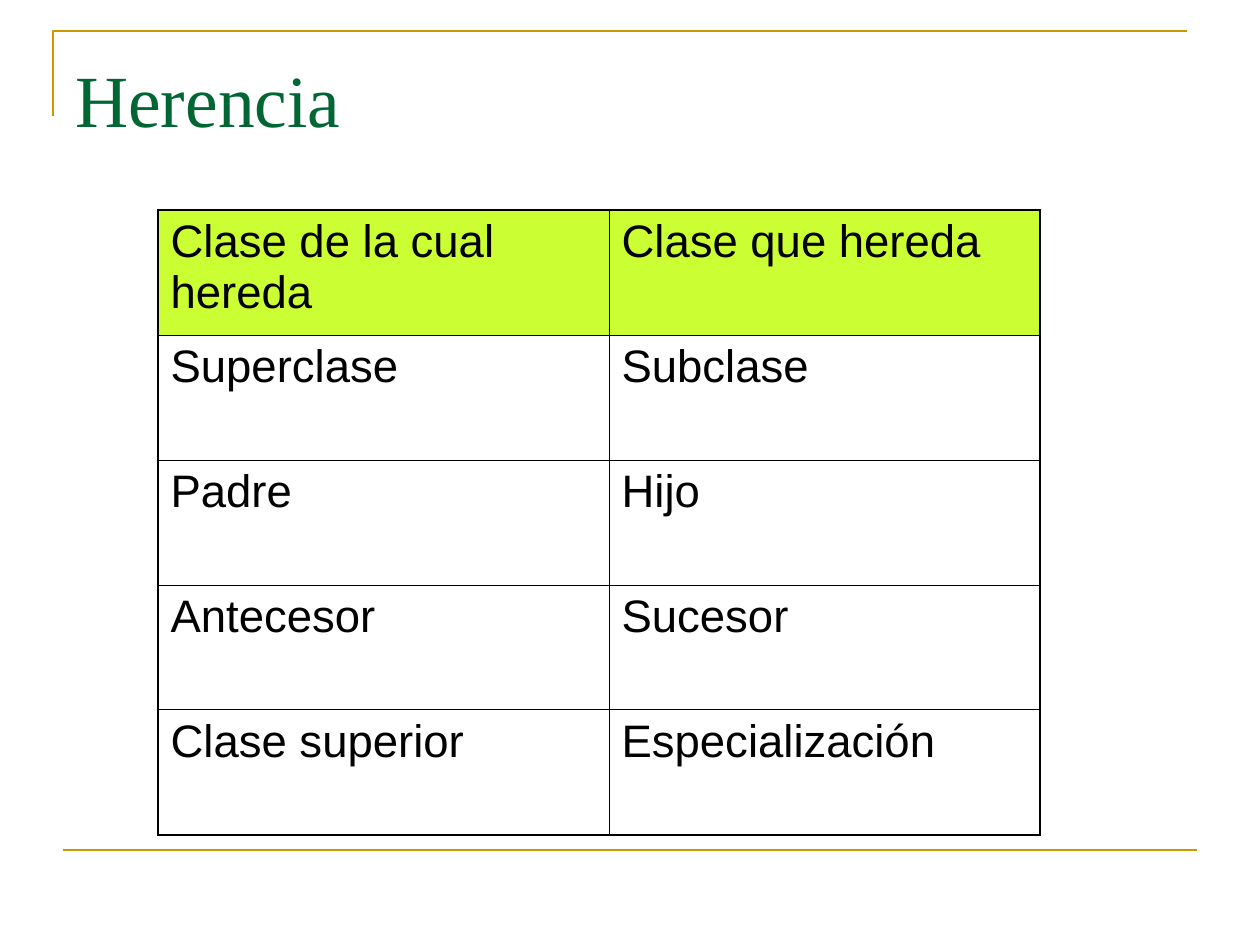
from lxml import etree
from pptx import Presentation, util as u
from pptx.dml.color import RGBColor
from pptx.enum import shapes, text
from pptx.oxml import ns

PX = 914400 // 126
COLORS = {"gold": "CC9900", "green": "006633", "lime": "CCFF33",
          "ink": "000000", "white": "FFFFFF"}
ROWS = [("Clase de la cual hereda", "Clase que hereda"),
        ("Superclase", "Subclase"),
        ("Padre", "Hijo"),
        ("Antecesor", "Sucesor"),
        ("Clase superior", "Especialización")]
COLS = (451, 431)
ROW_H = 125
THICK, THIN = 1.08, 0.45


def px(n):
    return u.Emu(n * PX)


def color(name):
    return RGBColor.from_string(COLORS[name])


def add_run(para, words, size, font, tint):
    run = para.add_run()
    run.text = words
    run.font.size = u.Pt(size)
    run.font.name = font
    run.font.color.rgb = color(tint)


def style_line(line):
    line.color.rgb = color("gold")
    line.width = u.Pt(1.5)


def add_corner(slide, points):
    start, *rest = [(px(x), px(y)) for x, y in points]
    pen = slide.shapes.build_freeform(*start)
    pen.add_line_segments(rest, close=False)
    corner = pen.convert_to_shape()
    corner.shadow.inherit = False
    corner.fill.background()
    style_line(corner.line)


def add_rule(slide, left, right, y):
    rule = slide.shapes.add_connector(
        shapes.MSO_CONNECTOR.STRAIGHT, px(left), px(y), px(right), px(y))
    style_line(rule.line)
    etree.SubElement(rule.element.spPr, ns.qn("a:effectLst"))


def add_title(slide, words):
    box = slide.shapes.add_textbox(px(63), px(38), px(1134), px(157))
    frame = box.text_frame
    frame.word_wrap = True
    frame.vertical_anchor = text.MSO_ANCHOR.TOP
    frame.margin_top = px(16)
    add_run(frame.paragraphs[0], words, 42, "Times New Roman", "green")


def set_border(cell, widths):
    """Draw the cell's edges; widths are points for left, right, top, bottom."""
    props = cell._tc.get_or_add_tcPr()
    for i, (side, width) in enumerate(zip("LRTB", widths)):
        edge = etree.Element(ns.qn(f"a:ln{side}"), w=str(u.Pt(width)))
        fill = etree.SubElement(edge, ns.qn("a:solidFill"))
        etree.SubElement(fill, ns.qn("a:srgbClr"), val=COLORS["ink"])
        props.insert(i, edge)


def add_grid(slide, left, top):
    table = slide.shapes.add_table(
        len(ROWS), len(COLS), px(left), px(top),
        px(sum(COLS)), px(ROW_H * len(ROWS))).table
    for col, width in zip(table.columns, COLS):
        col.width = px(width)
    for r, row in enumerate(ROWS):
        table.rows[r].height = px(ROW_H)
        for c, words in enumerate(row):
            cell = table.cell(r, c)
            cell.fill.solid()
            cell.fill.fore_color.rgb = color("white" if r else "lime")
            add_run(cell.text_frame.paragraphs[0], words, 26, "Arial", "ink")
            outer = (c == 0, c == len(COLS) - 1, r == 0, r == len(ROWS) - 1)
            set_border(cell, [THICK if edge else THIN for edge in outer])


def main():
    deck = Presentation()
    deck.slide_width, deck.slide_height = px(1260), px(945)
    slide = deck.slides.add_slide(deck.slide_layouts[6])
    add_corner(slide, [(53, 116), (53, 31), (1187, 31)])
    add_rule(slide, 63, 1197, 850)
    add_title(slide, "Herencia")
    add_grid(slide, 158, 210)
    deck.save("out.pptx")


if __name__ == "__main__":
    main()
